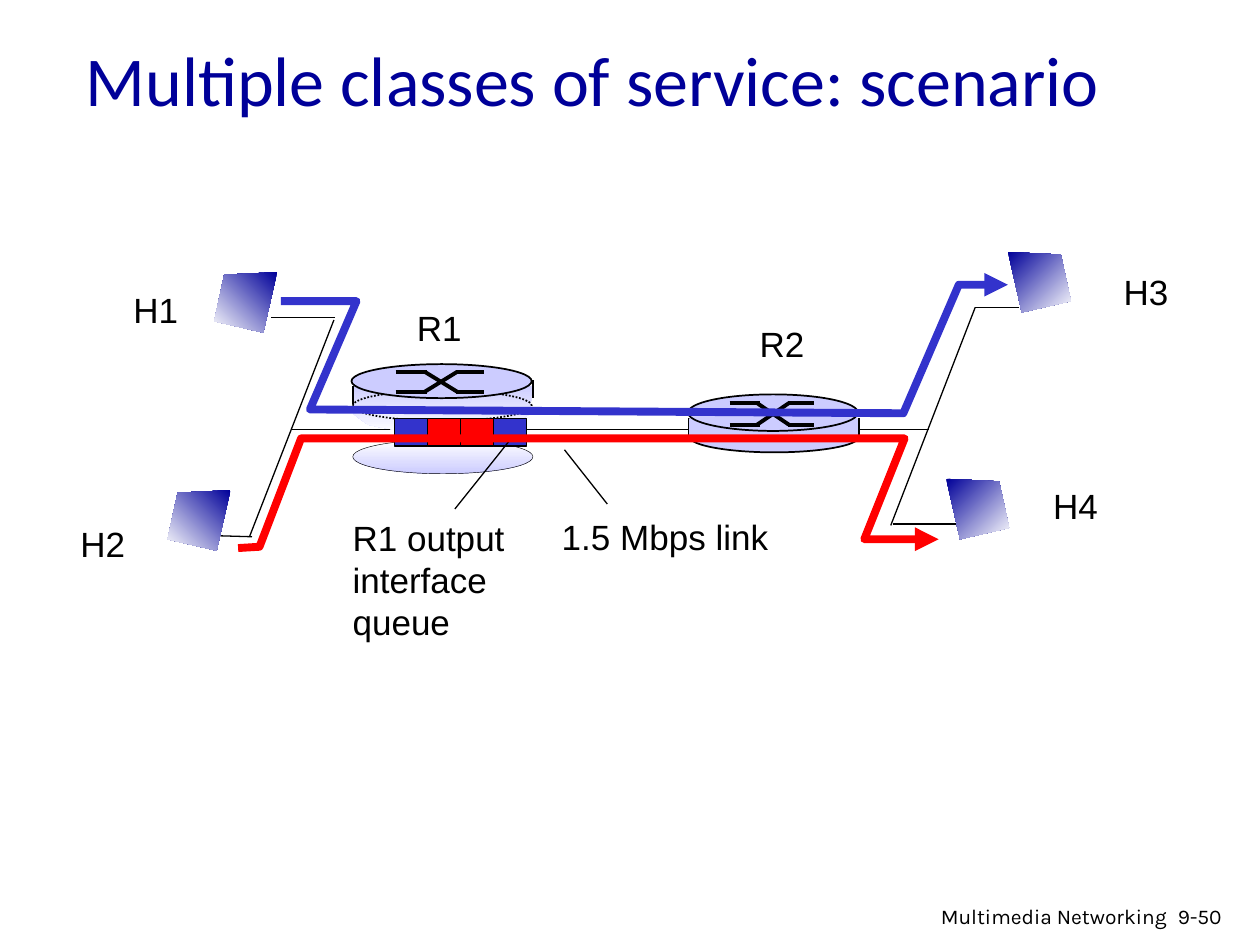
from pptx import Presentation
from pptx import util as u
from pptx.dml.color import RGBColor
from pptx.enum import dml, shapes, text
from pptx.oxml.ns import qn
from lxml import etree

# All places below are in inches; emu() turns them into lengths.
COLORS = {"title": "000099", "black": "000000", "white": "FFFFFF",
          "router": "CCCCFF", "blue": "3333CC", "red": "FF0000"}

TITLE = "Multiple classes of service: scenario"
LABELS = [  # left, top, width, height, paragraphs
    (3.21, 2.38, 0.56, 0.44, ["R1"]),
    (5.93, 2.51, 0.56, 0.44, ["R2"]),
    (0.96, 2.24, 0.56, 0.44, ["H1"]),
    (0.54, 4.10, 0.56, 0.44, ["H2"]),
    (8.82, 2.10, 0.56, 0.44, ["H3"]),
    (8.26, 3.80, 0.56, 0.44, ["H4"]),
    (4.36, 4.04, 1.92, 0.44, ["1.5 Mbps link"]),
    (2.70, 4.05, 1.42, 1.11, ["R1 output", "interface", "queue"]),
]
BACKBONE = (2.31, 3.41, 7.37, 3.41)
ACCESS_LINKS = [
    (2.65, 2.54, 1.98, 4.26), (2, 4.26, 1.66, 4.25), (2.66, 2.52, 2.15, 2.52),
    (7.74, 2.44, 7.07, 4.17), (7.6, 4.16, 7.09, 4.16), (8.09, 2.44, 7.74, 2.44),
]
CALLOUTS = [(4.48, 3.57, 4.82, 4), (4.05, 3.49, 3.61, 4.04)]
R1_BODY = [
    (2.8, 3.05), (2.91, 3.11), (3.1, 3.14), (3.25, 3.15), (3.45, 3.16),
    (3.6, 3.16), (3.79, 3.15), (3.96, 3.14), (4.16, 3.08), (4.22, 3.06),
    (4.21, 3.28), (4.13, 3.34), (4.06, 3.38), (3.95, 3.4), (3.81, 3.42),
    (3.62, 3.44), (3.46, 3.44), (3.32, 3.43), (3.19, 3.42), (3.01, 3.39),
    (2.92, 3.37), (2.85, 3.32), (2.8, 3.28),
]
QUEUE = ["blue", "red", "red", "blue"]
FLOWS = [
    ("blue", [(2.23, 2.39), (2.83, 2.39), (2.46, 3.25), (7.17, 3.28),
              (7.61, 2.26), (8, 2.26)]),
    ("red", [(1.89, 4.35), (2.06, 4.34), (2.39, 3.48), (7.18, 3.48),
             (6.86, 4.28), (7.45, 4.28)]),
]
HOST_OUTLINE = [(0, 0), (0.42, 0.02), (0.5, 0.39), (0.11, 0.48)]
HOSTS = [(1.83, 3.89, -1), (2.2, 2.16, -1), (8, 2, 1), (7.51, 3.8, 1)]  # corner, facing
FOOTERS = [
    (9.25, 7.12, 0.75, 0.3, "9-50", text.PP_ALIGN.LEFT),
    (7.2, 7.12, 2.16, 0.28, "Multimedia Networking", text.PP_ALIGN.RIGHT),
]


def emu(inches):
    return u.Cm(inches * 2.54)


def rgb(name):
    return RGBColor.from_string(COLORS[name])


def set_font(para, face, size, color="black"):
    para.font.name = face
    para.font.size = u.Pt(size)
    para.font.color.rgb = rgb(color)


def add_line(x1, y1, x2, y2, weight=0.75):
    line = page.shapes.add_connector(shapes.MSO_CONNECTOR.STRAIGHT,
                                     *map(emu, (x1, y1, x2, y2)))
    line.line.color.rgb = rgb("black")
    line.line.width = u.Pt(weight)
    etree.SubElement(line._element.spPr, qn("a:effectLst"))


def paint(shape, fill=None, line=None, weight=1, angle=270):
    """Fill is a colour name, a pair of names for a gradient, or None."""
    shape.shadow.inherit = False
    if fill is None:
        shape.fill.background()
    elif isinstance(fill, tuple):
        shape.fill.gradient()
        shape.fill.gradient_angle = angle
        for stop, name, position in zip(shape.fill.gradient_stops, fill, (0, 1)):
            stop.color.rgb = rgb(name)
            stop.position = position
    else:
        shape.fill.solid()
        shape.fill.fore_color.rgb = rgb(fill)
    if line is None:
        shape.line.fill.background()
    else:
        shape.line.color.rgb = rgb(line)
        shape.line.width = u.Pt(weight)
    return shape


def add_preset(kind, left, top, width, height, **look):
    shape = page.shapes.add_shape(kind, *map(emu, (left, top, width, height)))
    return paint(shape, **look)


def add_outline(points, close, **look):
    start, *rest = [(emu(x), emu(y)) for x, y in points]
    builder = page.shapes.build_freeform(*start)
    builder.add_line_segments(rest, close=close)
    return paint(builder.convert_to_shape(), **look)


def add_cross(xs, top, bottom):
    """Draw a router's crossed-lanes symbol; xs are its four bend positions."""
    a, b, c, d = xs
    for start, end in ((top, bottom), (bottom, top)):
        add_line(a, start, b + 0.01, start, 2.25)
        add_line(b - 0.01, start, c, end, 2.25)
        add_line(c - 0.01, end, d, end, 2.25)


def add_text(left, top, width, height, lines, face, size, wrap,
             align=text.PP_ALIGN.LEFT):
    box = page.shapes.add_textbox(*map(emu, (left, top, width, height)))
    frame = box.text_frame
    frame.word_wrap = wrap
    frame.text = "\n".join(lines)
    for para in frame.paragraphs:
        para.alignment = align
        set_font(para, face, size)


deck = Presentation()
deck.slide_width, deck.slide_height = emu(10), emu(7.5)
page = deck.slides.add_slide(deck.slide_layouts[5])
OVAL, RECT = shapes.MSO_SHAPE.OVAL, shapes.MSO_SHAPE.RECTANGLE

title = page.shapes.title
title.left, title.top, title.width, title.height = map(emu, (0.58, 0, 8.5, 1.25))
title.text_frame.text = TITLE
title.text_frame.vertical_anchor = text.MSO_ANCHOR.MIDDLE
title.text_frame.auto_size = text.MSO_AUTO_SIZE.NONE
title.text_frame.paragraphs[0].alignment = text.PP_ALIGN.LEFT
set_font(title.text_frame.paragraphs[0], "Calibri", 40, "title")

add_line(*BACKBONE)

# Router R1, opened to show its output queue
add_outline(R1_BODY, True, fill=("router", "white"))
rim = add_preset(OVAL, 2.8, 3.1, 1.42, 0.24, line="black")
rim.line.dash_style = dml.MSO_LINE.ROUND_DOT
add_line(2.8, 3.06, 2.8, 3.21, 1)
add_line(4.23, 3.02, 4.23, 3.16, 1)
add_preset(OVAL, 2.79, 2.89, 1.43, 0.27, fill="router", line="black")
add_cross((3.14, 3.38, 3.63, 3.84), 2.95, 3.11)
add_preset(OVAL, 2.8, 3.49, 1.43, 0.27, fill=("white", "router"),
           line="black", weight=0.25)
cell = 1.05 / len(QUEUE)
for i, color in reversed(list(enumerate(QUEUE))):
    add_preset(RECT, 3.13 + i * cell, 3.32, cell, 0.22,
               fill=color, line="black", weight=0.75)

for link in ACCESS_LINKS:
    add_line(*link)

# Router R2
add_preset(OVAL, 5.47, 3.34, 1.35, 0.25, fill="router", line="black")
for x in (5.47, 6.82):
    add_line(x, 3.32, x, 3.47, 1)
add_preset(RECT, 5.47, 3.32, 1.34, 0.15, fill="router")
add_preset(OVAL, 5.46, 3.13, 1.35, 0.29, fill="router", line="black")
add_cross((5.79, 6.02, 6.26, 6.46), 3.2, 3.37)

for *place, lines in LABELS:
    add_text(*place, lines, "Arial", 20, False)
for callout in CALLOUTS:
    add_line(*callout)

for color, points in FLOWS:
    flow = add_outline(points, False, line=color, weight=4.5)
    etree.SubElement(flow.line._get_or_add_ln(), qn("a:tailEnd"), type="triangle")

for x, y, facing in HOSTS:
    add_outline([(x + facing * dx, y + dy) for dx, dy in HOST_OUTLINE], True,
                fill=("title", "white"), angle=270 + 45 * facing)

for *place, words, align in FOOTERS:
    add_text(*place, [words], "Karla", 12, True, align)

deck.save("out.pptx")
